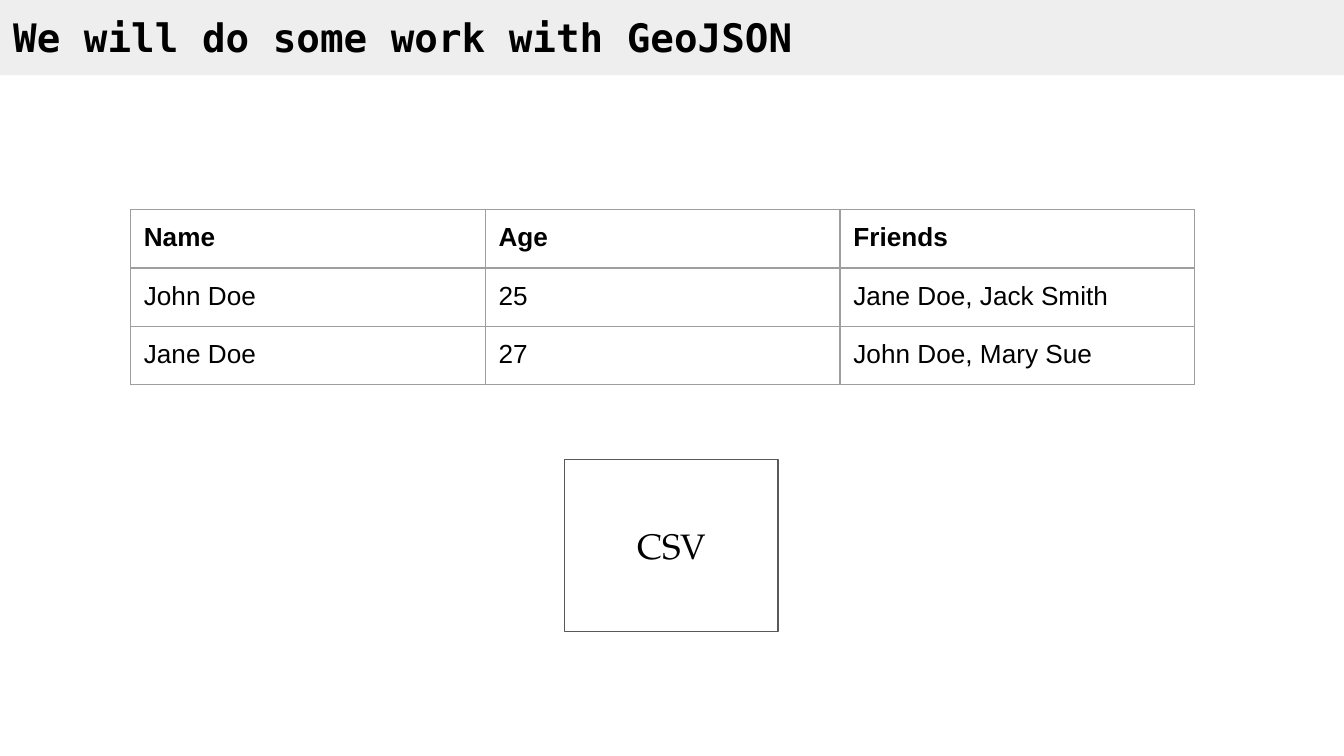
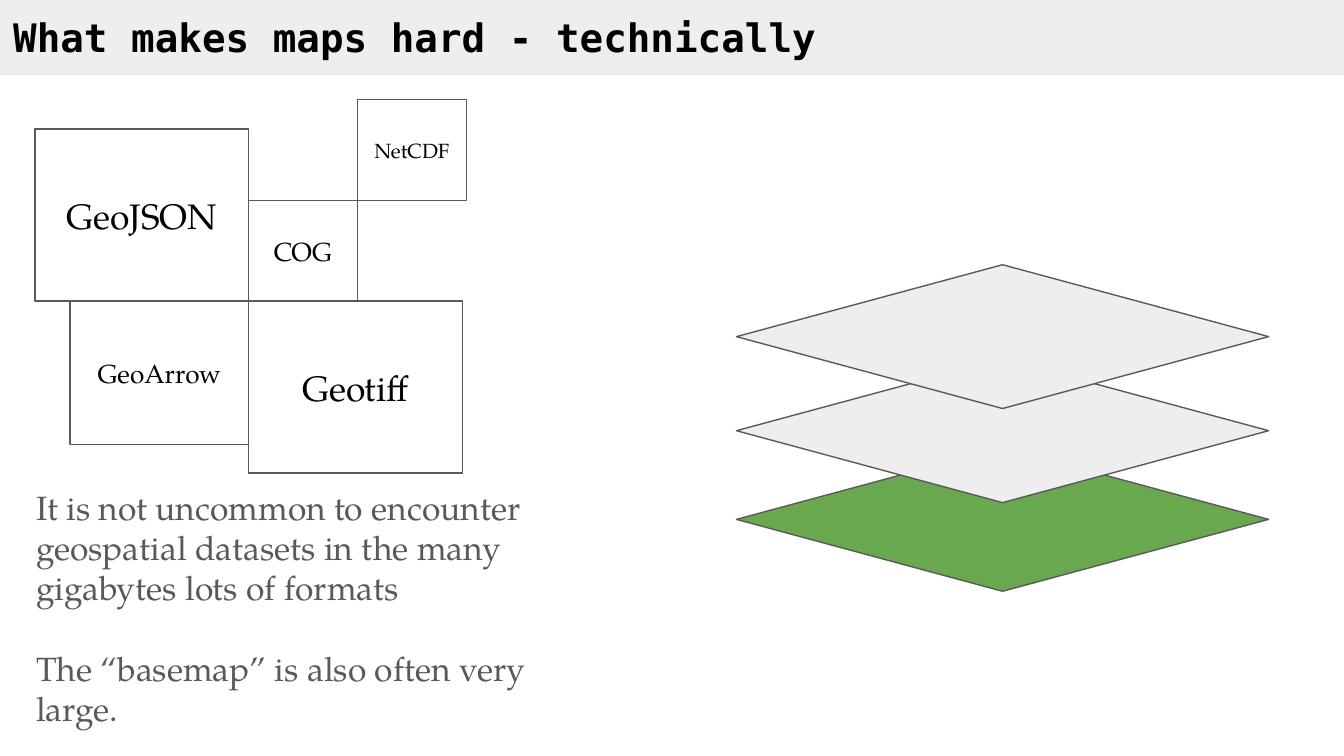
import pptx
import pptx.dml.color
import pptx.enum.shapes
import pptx.enum.text
import pptx.oxml.ns
import pptx.util
from lxml import etree

Inches = pptx.util.Inches
SHAPES = pptx.enum.shapes.MSO_SHAPE
ALIGN = pptx.enum.text.PP_ALIGN
ANCHOR = pptx.enum.text.MSO_ANCHOR

BLACK, WHITE, GREY = "000000", "FFFFFF", "595959"
PALE, GREEN, BORDER = "EEEEEE", "6AA84F", "9E9E9E"
TITLE_FONT, BODY_FONT, TABLE_FONT = "DejaVu Sans Mono", "TeX Gyre Pagella", "Arial"
BAND_HEIGHT = 0.56
LARGE_TILE = (1.59, 1.28)


def color(value):
    return pptx.dml.color.RGBColor.from_string(value)


def write(frame, *lines, font=BODY_FONT, size=18, ink=BLACK, bold=False,
          align=ALIGN.LEFT, anchor=ANCHOR.TOP, gap=0):
    """Fill a text frame with one paragraph per line, gap points apart."""
    frame.word_wrap = True
    frame.vertical_anchor = anchor
    frame.margin_left = frame.margin_right = Inches(0.1)
    frame.margin_top = frame.margin_bottom = Inches(0.1)
    for index, line in enumerate(lines):
        para = frame.paragraphs[0] if index == 0 else frame.add_paragraph()
        para.alignment = align
        if index and gap:
            para.space_before = pptx.util.Pt(gap)
        span = para.add_run()
        span.text = line
        span.font.name = font
        span.font.size = pptx.util.Pt(size)
        span.font.bold = bold
        span.font.color.rgb = color(ink)


def add_figure(page, kind, box, fill, line=GREY):
    figure = page.shapes.add_shape(kind, *map(Inches, box))
    figure.shadow.inherit = False
    figure.fill.solid()
    figure.fill.fore_color.rgb = color(fill)
    if line:
        figure.line.color.rgb = color(line)
        figure.line.width = pptx.util.Pt(0.75)
    else:
        figure.line.fill.background()
    return figure


def add_text(page, box, *lines, **style):
    holder = page.shapes.add_textbox(*map(Inches, box))
    write(holder.text_frame, *lines, **style)


def add_page(deck, title):
    """Blank page with the shared title band."""
    page = deck.slides.add_slide(deck.slide_layouts[6])
    add_figure(page, SHAPES.RECTANGLE, (-0.01, 0, 10.02, BAND_HEIGHT), PALE, line=None)
    add_text(page, (0, 0, 9.86, BAND_HEIGHT), title, font=TITLE_FONT, size=21, bold=True)
    return page


def add_tile(page, box, label, size):
    """Outlined box holding the name of a file format."""
    tile = add_figure(page, SHAPES.RECTANGLE, box, WHITE)
    write(tile.text_frame, label, size=size, align=ALIGN.CENTER, anchor=ANCHOR.MIDDLE)


def set_borders(cell):
    properties = cell._tc.get_or_add_tcPr()
    for side in ("a:lnL", "a:lnR", "a:lnT", "a:lnB"):
        edge = etree.SubElement(properties, pptx.oxml.ns.qn(side), w=str(pptx.util.Pt(0.75)))
        fill = etree.SubElement(edge, pptx.oxml.ns.qn("a:solidFill"))
        etree.SubElement(fill, pptx.oxml.ns.qn("a:srgbClr"), val=BORDER)


def add_people_table(page, box, rows):
    frame = page.shapes.add_table(len(rows), len(rows[0]), *map(Inches, box))
    table = frame.table
    table.first_row = table.horz_banding = False
    for row_index, row in enumerate(rows):
        for column_index, value in enumerate(row):
            cell = table.cell(row_index, column_index)
            set_borders(cell)
            cell.fill.background()
            cell.margin_left = cell.margin_right = Inches(0.1)
            cell.margin_top = cell.margin_bottom = Inches(0.1)
            write(cell.text_frame, value, font=TABLE_FONT, size=14, bold=row_index == 0)


def add_format_tiles(page, left, top):
    """Cluster of tiles whose corners meet at the point (left, top)."""
    large_width, large_height = LARGE_TILE
    small_width, small_height = 0.81, 0.75
    arrow_width, arrow_height = 1.33, 1.07
    tiles = [
        ("GeoJSON", 19, -large_width, -large_height, large_width, large_height),
        ("Geotiff", 19, 0, 0, large_width, large_height),
        ("GeoArrow", 14, -arrow_width, 0, arrow_width, arrow_height),
        ("COG", 14, 0, -small_height, small_width, small_height),
        ("NetCDF", 11, small_width, -2 * small_height, small_width, small_height),
    ]
    for label, size, across, down, width, height in tiles:
        add_tile(page, (left + across, top + down, width, height), label, size)


def add_map_layers(page, box):
    """Stacked map layers, the green basemap at the bottom."""
    left, top, width, height = box
    for offset, fill in ((1.36, GREEN), (0.7, PALE), (0, PALE)):
        add_figure(page, SHAPES.DIAMOND, (left, top + offset, width, height), fill)


def build_csv_page(deck):
    page = add_page(deck, "We will do some work with GeoJSON")
    add_tile(page, (4.2, 3.42, *LARGE_TILE), "CSV", 19)
    add_people_table(page, (0.97, 1.56, 7.92, 1.26), [
        ("Name", "Age", "Friends"),
        ("John Doe", "25", "Jane Doe, Jack Smith"),
        ("Jane Doe", "27", "John Doe, Mary Sue"),
    ])


def build_maps_page(deck):
    page = add_page(deck, "What makes maps hard - technically")
    add_format_tiles(page, 1.85, 2.24)
    add_text(page, (0.17, 3.52, 4.42, 2.02),
             "It is not uncommon to encounter geospatial datasets in the many "
             "gigabytes lots of formats",
             "The “basemap” is also often very large.",
             ink=GREY, gap=21.5)
    add_map_layers(page, (5.48, 1.97, 3.96, 1.07))


def main():
    deck = pptx.Presentation()
    # Widescreen page, 16 to 9
    deck.slide_width = Inches(10)
    deck.slide_height = deck.slide_width * 9 // 16
    build_csv_page(deck)
    build_maps_page(deck)
    deck.save("out.pptx")


if __name__ == "__main__":
    main()
